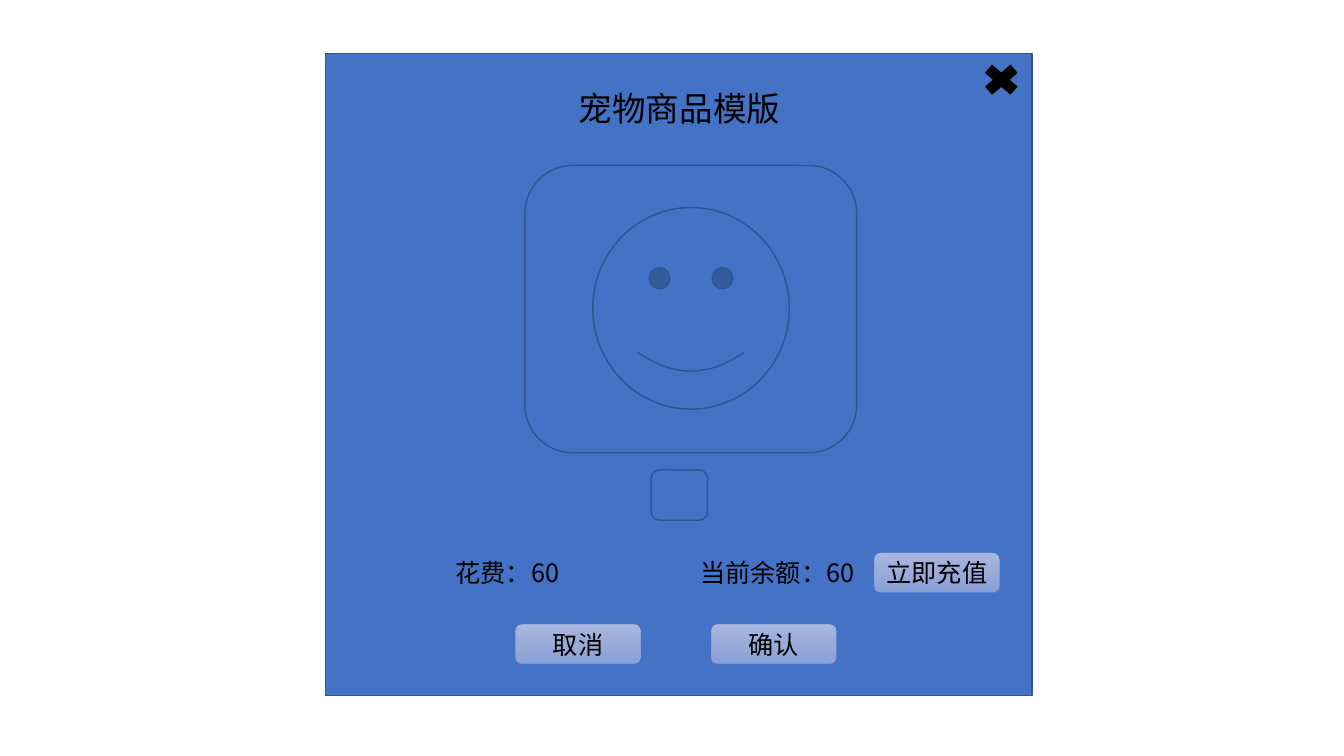
from copy import deepcopy

from lxml.etree import SubElement
from pptx import Presentation
from pptx.dml.color import RGBColor
from pptx.enum.lang import MSO_LANGUAGE_ID as LANG
from pptx.enum.shapes import MSO_SHAPE as SHAPE
from pptx.enum.text import MSO_ANCHOR as ANCHOR, MSO_AUTO_SIZE as AUTO, PP_ALIGN as ALIGN
from pptx.oxml.ns import qn
from pptx.util import Cm, Pt

COLORS = {
    "panel": "4472C4",
    "outline": "325491",
    "ink": "000000",
    "button_top": "A8B7DF",
    "button_middle": "9AABD9",
    "button_bottom": "889ED7",
}
FONT = "Noto Sans CJK SC"
BUTTON_WIDTH, ROW_HEIGHT = 3.18, 1.02
BALANCE_TOP, ACTION_TOP = 13.92, 15.72


def color(name):
    return RGBColor.from_string(COLORS[name])


def write(frame, text, size=18, align=ALIGN.LEFT, anchor=ANCHOR.TOP, fit=AUTO.NONE):
    frame.word_wrap = True
    frame.auto_size = fit
    frame.vertical_anchor = anchor
    paragraph = frame.paragraphs[0]
    paragraph.alignment = align
    run = paragraph.add_run()
    run.text = text
    run.font.size = Pt(size)
    run.font.name = FONT
    run.font.language_id = LANG.SIMPLIFIED_CHINESE
    run.font.color.rgb = color("ink")
    SubElement(run.font._element, qn("a:ea"), typeface=FONT)


def add_figure(slide, kind, box, fill="panel", line="outline", weight=1):
    figure = slide.shapes.add_shape(kind, *map(Cm, box))
    figure.shadow.inherit = False
    figure.fill.solid()
    figure.fill.fore_color.rgb = color(fill)
    figure.line.color.rgb = color(line)
    figure.line.width = Pt(weight)
    return figure


def add_button(slide, text, left, top):
    button = add_figure(slide, SHAPE.ROUNDED_RECTANGLE,
                        (left, top, BUTTON_WIDTH, ROW_HEIGHT), line="panel", weight=0.5)
    button.fill.gradient()
    button.fill.gradient_angle = 270
    first = button.element.spPr.find(".//" + qn("a:gs"))
    first.addnext(deepcopy(first))
    shades = zip(button.fill.gradient_stops, (0, 0.5, 1),
                 ("button_top", "button_middle", "button_bottom"))
    for stop, position, shade in shades:
        stop.position = position
        stop.color.rgb = color(shade)
    write(button.text_frame, text, align=ALIGN.CENTER, anchor=ANCHOR.MIDDLE)


def add_label(slide, text, left, width):
    label = slide.shapes.add_textbox(Cm(left), Cm(BALANCE_TOP), Cm(width), Cm(ROW_HEIGHT))
    write(label.text_frame, text, fit=AUTO.SHAPE_TO_FIT_TEXT)


def place_title(slide, panel, text):
    title = slide.shapes.title
    title.left, title.top, title.width, title.height = map(Cm, (12.78, 2.08, 8.69, 1.27))
    write(title.text_frame, text, size=24, align=ALIGN.CENTER, fit=AUTO.SHAPE_TO_FIT_TEXT)
    panel.element.addnext(title.element)


def main():
    deck = Presentation()
    deck.slide_width, deck.slide_height = Cm(33.87), Cm(19.05)
    slide = deck.slides.add_slide(deck.slide_layouts.get_by_name("Title Only"))

    panel = add_figure(slide, SHAPE.RECTANGLE, (8.2, 1.35, 17.81, 16.18))
    place_title(slide, panel, "宠物商品模版")
    add_figure(slide, SHAPE.ROUNDED_RECTANGLE, (13.23, 4.17, 8.36, 7.24))

    add_label(slide, "花费：60", 11.23, 4.06)
    add_label(slide, "当前余额：60", 17.4, 4.62)
    add_button(slide, "立即充值", 22.02, BALANCE_TOP)
    add_button(slide, "取消", 12.98, ACTION_TOP)
    add_button(slide, "确认", 17.91, ACTION_TOP)

    add_figure(slide, SHAPE.MATH_MULTIPLY, (24.64, 1.5, 1.19, 1.02), fill="ink", line="ink")
    add_figure(slide, SHAPE.ROUNDED_RECTANGLE, (16.41, 11.84, 1.42, 1.27))
    add_figure(slide, SHAPE.SMILEY_FACE, (14.94, 5.23, 4.95, 5.08))
    deck.save("out.pptx")


if __name__ == "__main__":
    main()
